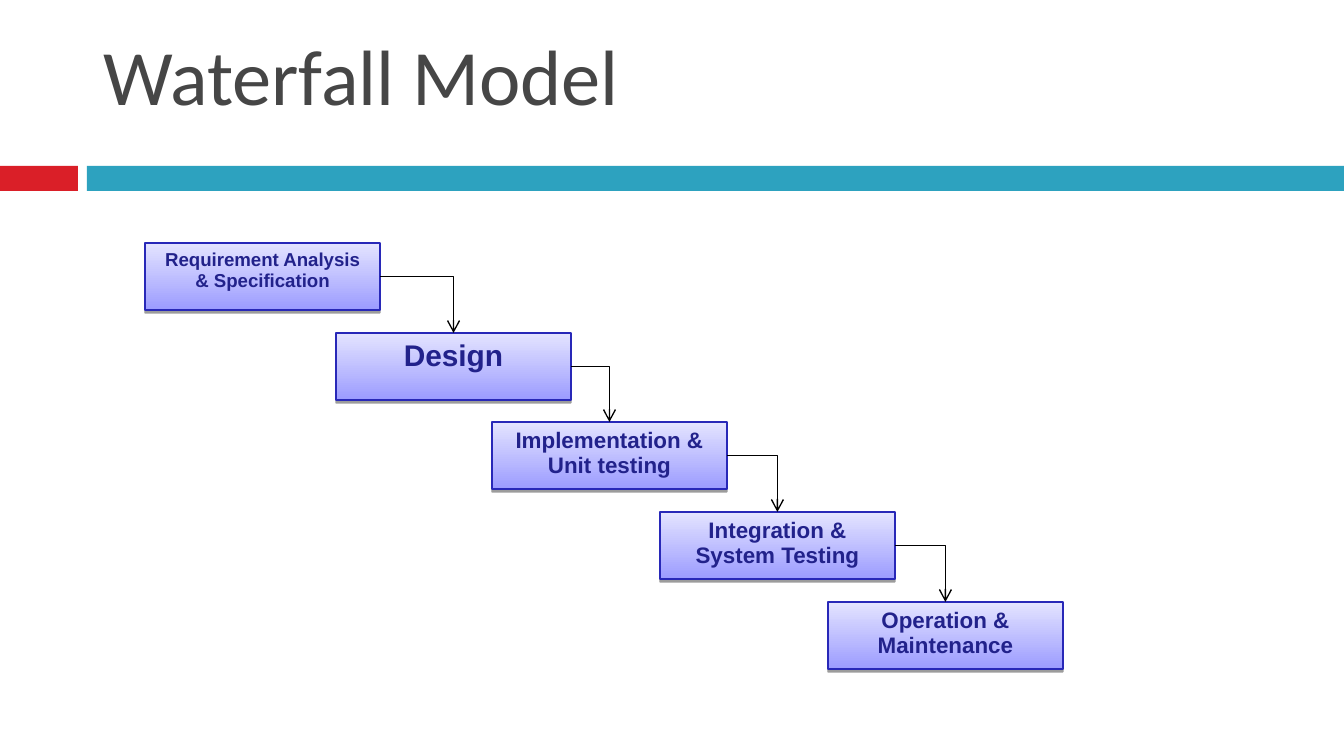
from lxml.etree import SubElement
from pptx import Presentation
from pptx.dml.color import RGBColor
from pptx.enum.shapes import MSO_CONNECTOR, MSO_SHAPE
from pptx.enum.text import MSO_ANCHOR, PP_ALIGN
from pptx.oxml.ns import qn
from pptx.util import Emu, Pt

SCALE = 9144000 / 1344
STAGE_WIDTH, STAGE_HEIGHT = 235, 67
FIRST_TOP, TOP_STEP = 243, 89.7
STAGES = [
    (145, "Requirement Analysis & Specification", 10),
    (336, "Design", 16),
    (492, "Implementation & Unit testing", 12),
    (660, "Integration & System Testing", 12),
    (828, "Operation & Maintenance", 12),
]


def px(length):
    """Turn a length in px into EMU."""
    return Emu(round(length * SCALE))


def color(value):
    """Turn a hex string into a colour."""
    return RGBColor.from_string(value)


def write(box, text, font, size, fill, bold=False, align=PP_ALIGN.LEFT,
          spacing=1.0, margin_top=7):
    """Write one formatted paragraph at the top of a box."""
    frame = box.text_frame
    frame.word_wrap = True
    frame.vertical_anchor = MSO_ANCHOR.TOP
    frame.margin_top = px(margin_top)
    para = frame.paragraphs[0]
    para.alignment = align
    para.line_spacing = spacing
    span = para.add_run()
    span.text = text
    span.font.name = font
    span.font.size = Pt(size)
    span.font.bold = bold
    span.font.color.rgb = color(fill)


def add_rectangle(page, left, top, width, height):
    """Add a rectangle without a theme shadow."""
    box = page.shapes.add_shape(MSO_SHAPE.RECTANGLE, px(left), px(top), px(width), px(height))
    box.shadow.inherit = False
    return box


def add_band(page, left, width, fill):
    """Add one part of the band below the title."""
    band = add_rectangle(page, left, 166, width, 25)
    band.fill.solid()
    band.fill.fore_color.rgb = color(fill)
    band.line.fill.background()


def add_title(page, text):
    """Add the slide title."""
    box = page.shapes.add_textbox(px(90), px(17), px(1199), px(148))
    write(box, text, "Calibri", 42, "464646", margin_top=10)


def add_drop_shadow(box):
    """Give a box a hard shadow just below it."""
    effects = box._element.spPr.find(qn("a:effectLst"))
    shadow = SubElement(effects, qn("a:outerShdw"), blurRad="0", dist=str(Pt(1.6)),
                        dir="5400000", rotWithShape="0")
    tone = SubElement(shadow, qn("a:srgbClr"), val="000000")
    SubElement(tone, qn("a:alpha"), val="38000")


def add_stage(page, left, top, text, size):
    """Add one stage of the waterfall."""
    box = add_rectangle(page, left, top, STAGE_WIDTH, STAGE_HEIGHT)
    box.fill.gradient()
    box.fill.gradient_angle = 90
    for stop, value in zip(box.fill.gradient_stops, ("9C9CFF", "E4E4FF")):
        stop.color.rgb = color(value)
    box.line.color.rgb = color("2828B8")
    box.line.width = Pt(0.75)
    add_drop_shadow(box)
    write(box, text, "Arial", size, "22228B", bold=True, align=PP_ALIGN.CENTER, spacing=0.93)
    return box


def add_arrow(page, source, target):
    """Join the right side of one stage to the top of the next."""
    arrow = page.shapes.add_connector(MSO_CONNECTOR.ELBOW, 0, 0, 0, 0)
    arrow.begin_connect(source, 3)
    arrow.end_connect(target, 0)
    arrow.line.color.rgb = color("000000")
    arrow.line.width = Pt(0.75)
    properties = arrow._element.spPr
    properties.find(qn("a:prstGeom")).set("prst", "bentConnector2")
    SubElement(properties.find(qn("a:ln")), qn("a:tailEnd"), type="arrow")
    SubElement(properties, qn("a:effectLst"))


def main():
    """Build the waterfall slide."""
    deck = Presentation()
    deck.slide_width, deck.slide_height = px(1344), px(756)
    page = deck.slides.add_slide(deck.slide_layouts[6])
    add_band(page, 0, 78, "DA1F28")
    add_band(page, 87, 1257, "2DA2BF")
    add_title(page, "Waterfall Model")
    stages = [
        add_stage(page, left, FIRST_TOP + round(index * TOP_STEP), text, size)
        for index, (left, text, size) in enumerate(STAGES)
    ]
    for source, target in zip(stages, stages[1:]):
        add_arrow(page, source, target)
    deck.save("out.pptx")


if __name__ == "__main__":
    main()
